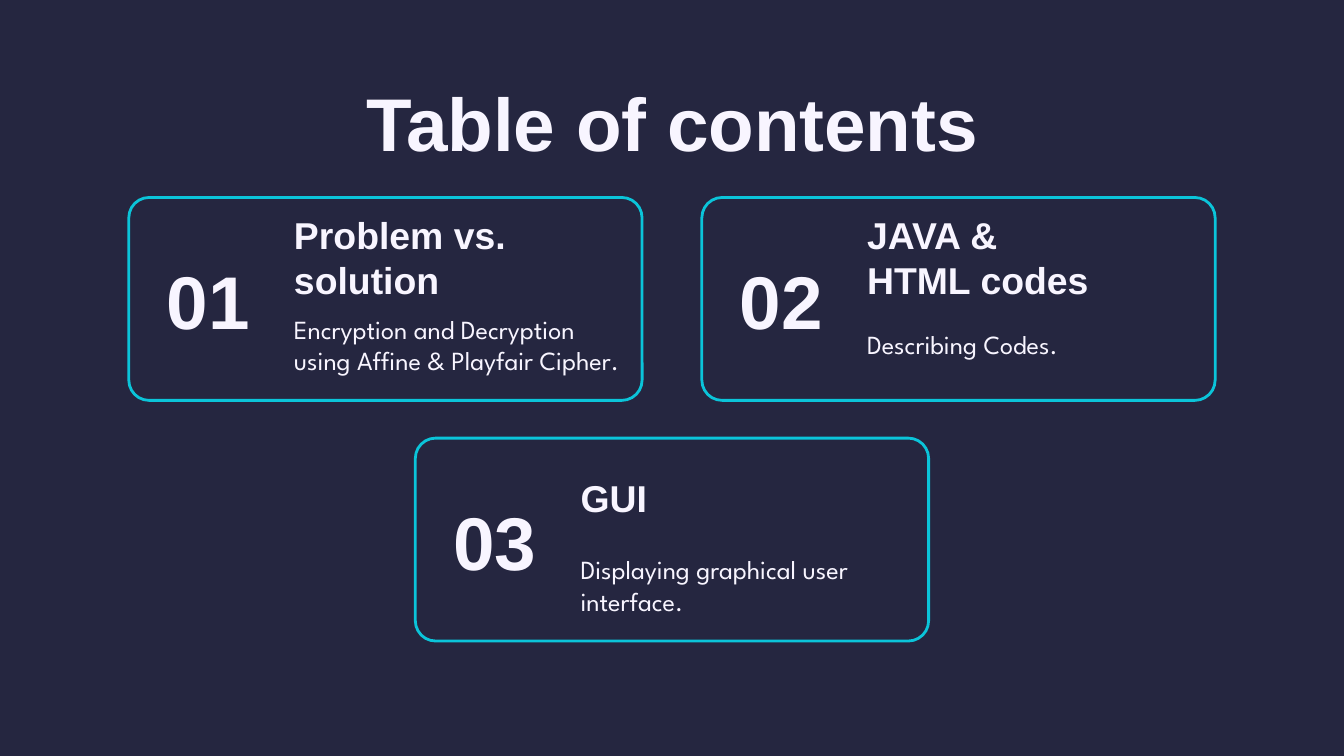
from pptx import Presentation
from pptx.dml.color import RGBColor
from pptx.enum.shapes import MSO_SHAPE
from pptx.enum.text import MSO_ANCHOR, PP_ALIGN
from pptx.util import Pt

NAVY = RGBColor(0x25, 0x26, 0x40)
CYAN = RGBColor(0x0B, 0xC4, 0xD9)
PALE = RGBColor(0xF8, 0xF5, 0xFF)
ROUNDED = MSO_SHAPE.ROUNDED_RECTANGLE
MIDDLE = MSO_ANCHOR.MIDDLE
LEFT, CENTER = PP_ALIGN.LEFT, PP_ALIGN.CENTER
HEADING_FONT, BODY_FONT = "Arial", "League Spartan"

PAGE_WIDTH, PAGE_HEIGHT = 720, 405
CARD_WIDTH, CARD_HEIGHT = 275, 108.7
COLUMN_GAP, ROW_GAP = 32, 20.2
CARDS_TOP = 105.8
INSET = 7.2


def add_text(page, box, text, size, font=HEADING_FONT, bold=True, align=LEFT):
    frame = page.shapes.add_textbox(*map(Pt, box)).text_frame
    frame.word_wrap = True
    frame.vertical_anchor = MIDDLE
    frame.margin_left = frame.margin_right = Pt(INSET)
    frame.margin_top = frame.margin_bottom = Pt(INSET)
    frame.text = text
    for para in frame.paragraphs:
        para.alignment = align
        for span in para.runs:
            span.font.name = font
            span.font.size = Pt(size)
            span.font.bold = bold
            span.font.color.rgb = PALE


def add_card(page, box, number, heading, body, body_width):
    left, top, width, height = box
    outline = page.shapes.add_shape(ROUNDED, *map(Pt, box))
    outline.adjustments[0] = 0.1
    outline.shadow.inherit = False
    outline.fill.background()
    outline.line.color.rgb = CYAN
    outline.line.width = Pt(1.5)

    text_left = left + 81.4
    add_text(page, (left + 12, top + 38.2, 61.2, 33.1), number, 40, align=CENTER)
    add_text(page, (text_left, top + 9.4, 157, 45.4), heading, 20)
    add_text(page, (text_left, top + 58.3, body_width, 41), body, 14,
             font=BODY_FONT, bold=False)


def add_contents(page):
    add_text(page, (56.2, 42.5, 607.6, 45.4), "Table of contents", 40, align=CENTER)

    middle = (PAGE_WIDTH - CARD_WIDTH) / 2
    half_step = (CARD_WIDTH + COLUMN_GAP) / 2
    second_row = CARDS_TOP + CARD_HEIGHT + ROW_GAP
    cards = [
        (middle - half_step, CARDS_TOP, "01", "Problem vs. solution",
         "Encryption and Decryption using Affine & Playfair Cipher.", 193.7),
        (middle + half_step, CARDS_TOP, "02", "JAVA &\nHTML codes",
         "Describing Codes.", 178.6),
        (middle, second_row, "03", "GUI",
         "Displaying graphical user interface.", 178.6),
    ]
    for left, top, *content in cards:
        add_card(page, (left, top, CARD_WIDTH, CARD_HEIGHT), *content)


def main():
    deck = Presentation()
    deck.slide_width, deck.slide_height = Pt(PAGE_WIDTH), Pt(PAGE_HEIGHT)
    page = deck.slides.add_slide(deck.slide_layouts[6])
    page.background.fill.solid()
    page.background.fill.fore_color.rgb = NAVY
    add_contents(page)
    deck.save("out.pptx")


if __name__ == "__main__":
    main()
